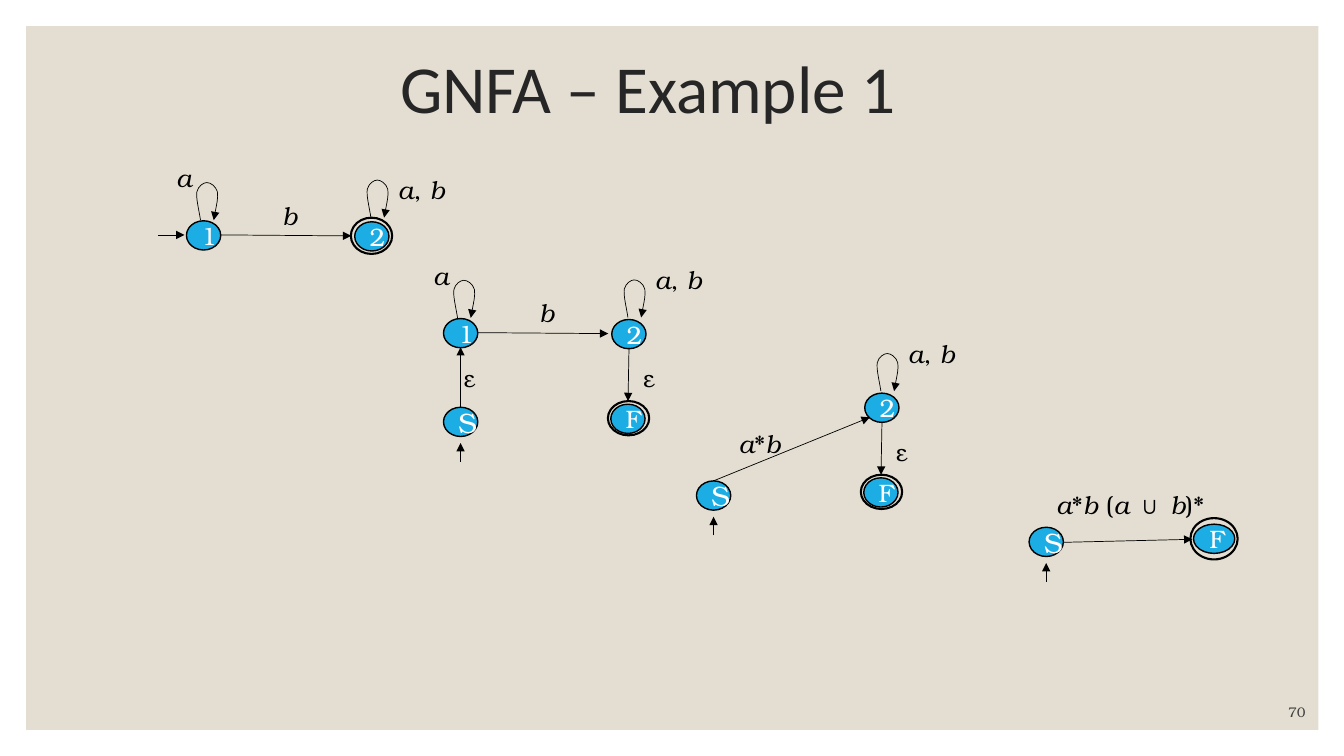
from itertools import groupby

from lxml import etree
from pptx import Presentation
from pptx.dml.color import RGBColor
from pptx.enum import shapes, text
from pptx.oxml.ns import qn
from pptx.util import Pt

COLOURS = {
    "panel": "E3DED1", "state": "1CADE4", "ink": "000000",
    "title": "262626", "number": "404040", "white": "FFFFFF",
}
SERIF = "TeX Gyre Bonum"
STATE_W, STATE_H = 24.5, 20.9
LOOP_CURVE = [
    (-1.3, -8), (-3.4, -16), (-2.6, -20.4),
    (-1.6, -24.5), (2.2, -26.9), (4.5, -26.9),
    (7, -26.9), (10.8, -24.5), (12, -20.4),
    (12.7, -16), (10.8, -8), (9.4, 0),
]


def colour(name):
    return RGBColor.from_string(COLOURS[name])


def write(frame, words, size=18, font=SERIF, ink="ink", align=text.PP_ALIGN.LEFT,
          anchor=text.MSO_ANCHOR.TOP, italic_letters="", spacing=None):
    frame.vertical_anchor = anchor
    paragraph = frame.paragraphs[0]
    paragraph.alignment = align
    paragraph.line_spacing = spacing
    for italic, letters in groupby(words, lambda letter: letter in italic_letters):
        run = paragraph.add_run()
        run.text = "".join(letters)
        run.font.size = Pt(size)
        run.font.name = font
        run.font.italic = italic
        run.font.color.rgb = colour(ink)


def label(slide, words, x, y, width, wrap=True):
    box = slide.shapes.add_textbox(Pt(x), Pt(y), Pt(width), Pt(28.8))
    box.text_frame.word_wrap = wrap
    box.text_frame.auto_size = text.MSO_AUTO_SIZE.SHAPE_TO_FIT_TEXT
    write(box.text_frame, words, italic_letters="ab")


def outline(shape, width):
    shape.line.color.rgb = colour("ink")
    shape.line.width = Pt(width)


def arrowhead(shape):
    etree.SubElement(shape.line._get_or_add_ln(), qn("a:tailEnd"), type="triangle")


def ellipse(slide, x, y, width, height, line_width):
    oval = slide.shapes.add_shape(shapes.MSO_SHAPE.OVAL, Pt(x), Pt(y), Pt(width), Pt(height))
    oval.shadow.inherit = False
    outline(oval, line_width)
    return oval


def state(slide, name, x, y, width=STATE_W, size=18):
    oval = ellipse(slide, x, y, width, STATE_H, 1)
    oval.fill.solid()
    oval.fill.fore_color.rgb = colour("state")
    write(oval.text_frame, name, size=size, ink="white", align=text.PP_ALIGN.CENTER,
          anchor=text.MSO_ANCHOR.MIDDLE)


def ring(slide, x, y, width, height):
    ellipse(slide, x, y, width, height, 1.5).fill.background()


def arrow(slide, x1, y1, x2, y2):
    edge = slide.shapes.add_connector(shapes.MSO_CONNECTOR.STRAIGHT,
                                      Pt(x1), Pt(y1), Pt(x2), Pt(y2))
    outline(edge, 0.5)
    arrowhead(edge)
    etree.SubElement(edge._element.spPr, qn("a:effectLst"))


def loop(slide, x, y):
    builder = slide.shapes.build_freeform(Pt(x), Pt(y))
    builder.add_line_segments([(Pt(x + dx), Pt(y + dy)) for dx, dy in LOOP_CURVE], close=False)
    curve = builder.convert_to_shape()
    curve.shadow.inherit = False
    curve.fill.background()
    outline(curve, 0.5)
    arrowhead(curve)
    outline_path = curve._element.find(".//" + qn("a:path"))
    segments = outline_path.findall(qn("a:lnTo"))
    for first in range(0, len(segments), 3):
        bezier = etree.SubElement(outline_path, qn("a:cubicBezTo"))
        for segment in segments[first:first + 3]:
            bezier.append(segment[0])
            outline_path.remove(segment)


def state_one(slide, x, y):
    state(slide, "1", x, y)
    loop(slide, x + 10.1, y - 0.4)
    label(slide, "a", x - 14.4, y - 45.4, 26.6)
    arrow(slide, x + STATE_W, y + 10.1, x + 117.7, y + 10.8)
    label(slide, "b", x + 61.2, y - 18.4, 33.1)


def state_two(slide, x, y, loop_lift=0, label_drop=0):
    state(slide, "2", x + 120.2, y + 0.7)
    loop(slide, x + 131.8, y - 0.7 - loop_lift)
    label(slide, "a, b", x + 144, y - 42 + label_drop, 53.3)


def start_state(slide, x, y):
    state(slide, "S", x, y, size=20)
    arrow(slide, x + 12.2, y + 39, x + 12.2, y + 25.6)


def final_state(slide, x, y):
    state(slide, "F", x + 119.5, y + 61.2)
    ring(slide, x + 117.4, y + 59, 29.5, 24.5)
    arrow(slide, x + 132.5, y + 21, x + 131.8, y + 59)
    label(slide, "ε", x + 135.4, y + 28.1, 22.3, wrap=False)


def original_nfa(slide, x, y):
    state_one(slide, x, y)
    state_two(slide, x, y, loop_lift=1.5, label_drop=5.3)
    ring(slide, x + 117.4, y - 2.2, 29.5, 25.9)
    arrow(slide, x - 20.2, y + 10.1, x - 1.4, y + 10.1)


def gnfa(slide, x, y):
    state_one(slide, x, y)
    state_two(slide, x, y)
    start_state(slide, x, y + 63.4)
    final_state(slide, x, y)
    arrow(slide, x + 12.2, y + 63.4, x + 12.2, y + 20.5)
    label(slide, "ε", x + 7.2, y + 28.1, 22.3, wrap=False)


def without_state_one(slide, x, y):
    state_two(slide, x, y)
    start_state(slide, x, y + 63.4)
    final_state(slide, x, y)
    arrow(slide, x + 12.2, y + 63.4, x + 123.8, y + 18)
    label(slide, "a*b", x + 23, y + 22.3, 54.7)


def without_state_two(slide, x, y):
    start_state(slide, x, y)
    state(slide, "F", x + 117.4, y - 2.2, width=29.5)
    ring(slide, x + 115.2, y - 6.5, 33.8, 29.5)
    arrow(slide, x + STATE_W, y + 10.8, x + 116.6, y + 8.6)
    label(slide, "a*b (a ∪ b)*", x + 12.2, y - 30.3, 139.7)


def add_panel(slide):
    panel = slide.shapes.add_shape(shapes.MSO_SHAPE.RECTANGLE,
                                   Pt(18.7), Pt(18.7), Pt(923), Pt(502.6))
    panel.shadow.inherit = False
    panel.fill.solid()
    panel.fill.fore_color.rgb = colour("panel")
    panel.line.fill.background()
    slide.shapes._spTree.insert(2, panel._element)


def add_title(slide, words):
    title = slide.shapes.title
    title.left, title.top, title.width, title.height = Pt(278.6), Pt(27.4), Pt(396.7), Pt(75.6)
    title.text_frame.auto_size = text.MSO_AUTO_SIZE.NONE
    write(title.text_frame, words, size=48, font="Calibri", ink="title",
          anchor=text.MSO_ANCHOR.MIDDLE, spacing=0.9)


def add_slide_number(slide, number):
    box = slide.shapes.add_textbox(Pt(824.4), Pt(496.8), Pt(115.2), Pt(21.6))
    box.text_frame.word_wrap = True
    write(box.text_frame, number, size=10, ink="number", align=text.PP_ALIGN.RIGHT,
          anchor=text.MSO_ANCHOR.BOTTOM)


def main():
    deck = Presentation()
    deck.slide_width, deck.slide_height = Pt(960), Pt(540)
    slide = deck.slides.add_slide(deck.slide_layouts[5])
    add_panel(slide)
    add_title(slide, "GNFA – Example 1")
    original_nfa(slide, 133.2, 157.7)
    gnfa(slide, 316.8, 227.5)
    without_state_one(slide, 497.5, 280.1)
    without_state_two(slide, 735.1, 376.6)
    add_slide_number(slide, "70")
    deck.save("out.pptx")


if __name__ == "__main__":
    main()
